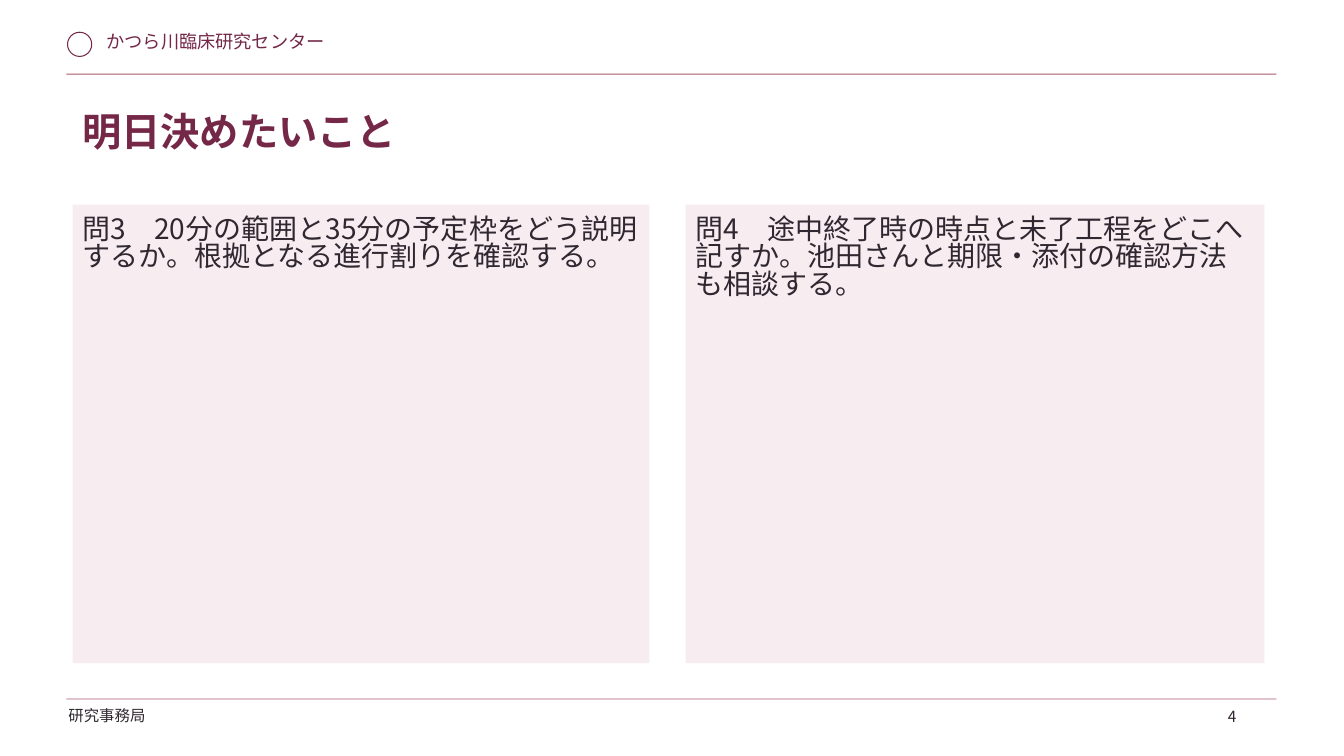
from pptx import Presentation, util as u
from pptx.dml.color import RGBColor
from pptx.enum import shapes, text
from pptx.oxml.ns import qn

FONT = "Noto Sans CJK JP"
PLUM, ROSE, PALE, INK = "742747", "AB586C", "F7EDF1", "302830"


def color(value):
    return RGBColor.from_string(value)


def add_shape(s, kind, box, fill=None, line=None):
    sp = s.shapes.add_shape(kind, *map(u.Inches, box))
    sp.shadow.inherit = False
    if fill:
        sp.fill.solid()
        sp.fill.fore_color.rgb = color(fill)
    else:
        sp.fill.background()
    if line:
        sp.line.color.rgb = color(line)
        sp.line.width = u.Pt(0.75)
    else:
        sp.line.fill.background()
    return sp


def write(sp, content, size, ink, bold=False, wrap=True, top=0.1, spacing=1.0):
    tf = sp.text_frame
    frame = {"word_wrap": wrap, "vertical_anchor": text.MSO_ANCHOR.TOP,
             "margin_top": u.Inches(top), "margin_bottom": u.Inches(top),
             "margin_left": u.Inches(0.1), "margin_right": u.Inches(0.1)}
    for name, value in frame.items():
        setattr(tf, name, value)
    p = tf.paragraphs[0]
    p.alignment = text.PP_ALIGN.LEFT
    p.line_spacing = spacing
    r = p.add_run()
    r.text = content
    for name, value in {"name": FONT, "size": u.Pt(size), "bold": bold}.items():
        setattr(r.font, name, value)
    r.font.color.rgb = color(ink)
    # East Asian typeface
    ea = r.font._element.makeelement(qn("a:ea"), {"typeface": FONT})
    r.font._element.append(ea)


def add_label(s, box, content, size, ink, **style):
    write(s.shapes.add_textbox(*map(u.Inches, box)), content, size, ink, **style)


def add_rule(s, top):
    add_shape(s, shapes.MSO_SHAPE.RECTANGLE, (0.66, top, 12, 0.01), fill=ROSE)


def add_panel(s, left, width, content):
    sp = add_shape(s, shapes.MSO_SHAPE.RECTANGLE, (left, 2.03, width, 4.55), fill=PALE)
    write(sp, content, 20, INK, top=0.12, spacing=0.83)


def main():
    prs = Presentation()
    prs.slide_width, prs.slide_height = u.Inches(13.33), u.Inches(7.5)
    s = prs.slides.add_slide(prs.slide_layouts[6])
    small = {"wrap": False, "top": 0.02}

    # Header
    add_shape(s, shapes.MSO_SHAPE.OVAL, (0.67, 0.32, 0.24, 0.24), line=PLUM)
    add_label(s, (0.96, 0.28, 3.3, 0.35), "かつら川臨床研究センター", 13, PLUM, **small)
    add_rule(s, 0.73)

    # Title and the two questions
    add_label(s, (0.72, 1.02, 11.9, 0.81), "明日決めたいこと", 28, PLUM,
              bold=True, spacing=0.9)
    add_panel(s, 0.72, 5.72,
              "問3　20分の範囲と35分の予定枠をどう説明するか。根拠となる進行割りを確認する。")
    add_panel(s, 6.8, 5.74,
              "問4　途中終了時の時点と未了工程をどこへ記すか。池田さんと期限・添付の確認方法も相談する。")

    # Footer
    add_rule(s, 6.93)
    add_label(s, (0.58, 6.99, 1.8, 0.36), "研究事務局", 11, INK, **small)
    add_label(s, (12.08, 6.99, 0.5, 0.25), "4", 11, INK, **small)

    prs.save("out.pptx")


if __name__ == "__main__":
    main()
